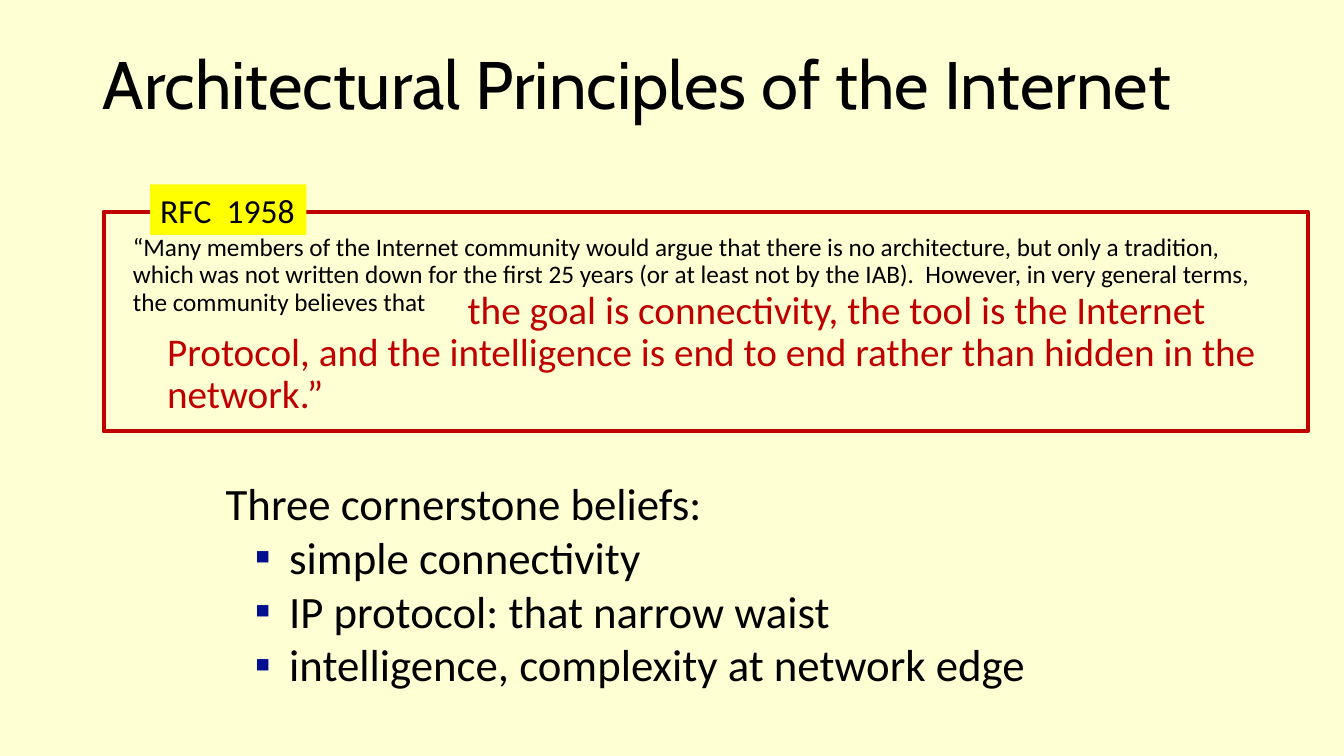
from pptx import Presentation
from pptx.dml.color import RGBColor
from pptx.enum.shapes import MSO_SHAPE
from pptx.enum.text import MSO_ANCHOR, PP_ALIGN
from pptx.oxml import parse_xml
from pptx.oxml.ns import nsdecls
from pptx.util import Inches, Pt

BLACK, RED, YELLOW, PALE, NAVY = "000000", "C00000", "FFFF00", "FFFFD4", "010F90"

TITLE = "Architectural Principles of the Internet"
QUOTE_OPENING = (
    "“Many members of the Internet community would argue that there is no "
    "architecture, but only a tradition, which was not written down for the "
    "first 25 years (or at least not by the IAB).  However, in very general "
    "terms, the community believes that"
)
QUOTE_GOAL = (
    "the goal is connectivity, the tool is the Internet Protocol, and the "
    "intelligence is end to end rather than hidden in the network.”"
)
BELIEFS = [
    "simple connectivity",
    "IP protocol: that narrow waist",
    "intelligence, complexity at network edge",
]


def color(hex_code):
    return RGBColor.from_string(hex_code)


def place(box):
    return [Inches(length) for length in box]


def style(paragraph, size, ink=BLACK, font="Calibri", line_spacing=None):
    paragraph.alignment = PP_ALIGN.LEFT
    paragraph.line_spacing = line_spacing
    paragraph.font.size = Pt(size)
    paragraph.font.name = font
    paragraph.font.color.rgb = color(ink)


def indent(paragraph, left, first_line):
    properties = paragraph._p.get_or_add_pPr()
    properties.set("marL", str(Inches(left)))
    properties.set("indent", str(Inches(first_line)))
    return properties


def add_bullet(paragraph):
    properties = indent(paragraph, 0.63, -0.34)
    for element in (
        f'<a:buClr {nsdecls("a")}><a:srgbClr val="{NAVY}"/></a:buClr>',
        f'<a:buFont {nsdecls("a")} typeface="Calibri"/>',
        f'<a:buChar {nsdecls("a")} char="▪"/>',
    ):
        properties.append(parse_xml(element))


def add_text(slide, box, text, size, anchor=MSO_ANCHOR.TOP, first_line=0, **look):
    frame = slide.shapes.add_textbox(*place(box)).text_frame
    frame.word_wrap = True
    frame.vertical_anchor = anchor
    paragraph = frame.paragraphs[0]
    paragraph.text = text
    if first_line:
        indent(paragraph, 0, first_line)
    style(paragraph, size, **look)
    return frame


def add_rectangle(slide, box, fill=None, outline=None):
    rectangle = slide.shapes.add_shape(MSO_SHAPE.RECTANGLE, *place(box))
    rectangle.shadow.inherit = False
    if fill:
        rectangle.fill.solid()
        rectangle.fill.fore_color.rgb = color(fill)
    else:
        rectangle.fill.background()
    if outline:
        rectangle.line.color.rgb = color(outline)
        rectangle.line.width = Pt(3)
    else:
        rectangle.line.fill.background()
    return rectangle


def add_label(slide, box, text):
    frame = add_rectangle(slide, box, fill=YELLOW).text_frame
    frame.word_wrap = False
    frame.text = text
    style(frame.paragraphs[0], 24)


def add_beliefs(slide, box, heading, beliefs):
    frame = add_text(slide, box, heading, 32)
    for belief in beliefs:
        paragraph = frame.add_paragraph()
        paragraph.text = belief
        add_bullet(paragraph)
        style(paragraph, 32)


def main():
    deck = Presentation()
    deck.slide_width, deck.slide_height = Inches(13.33), Inches(7.5)
    slide = deck.slides.add_slide(deck.slide_layouts[6])
    slide.background.fill.solid()
    slide.background.fill.fore_color.rgb = color(PALE)

    add_text(slide, (0.92, 0.38, 11.5, 0.98), TITLE, 48,
             anchor=MSO_ANCHOR.MIDDLE, font="Cabin", line_spacing=0.9)
    add_text(slide, (1.22, 2.28, 11.5, 0.92), QUOTE_OPENING, 18, line_spacing=0.9)
    add_rectangle(slide, (1.03, 2.1, 11.94, 2.18), outline=RED)
    add_label(slide, (1.49, 1.83, 1.55, 0.5), "RFC  1958")
    add_text(slide, (1.56, 2.83, 11.5, 1.37), QUOTE_GOAL, 28,
             first_line=2.98, ink=RED, line_spacing=0.9)
    add_beliefs(slide, (2.14, 4.67, 9.93, 2.56), "Three cornerstone beliefs:", BELIEFS)

    deck.save("out.pptx")


if __name__ == "__main__":
    main()
